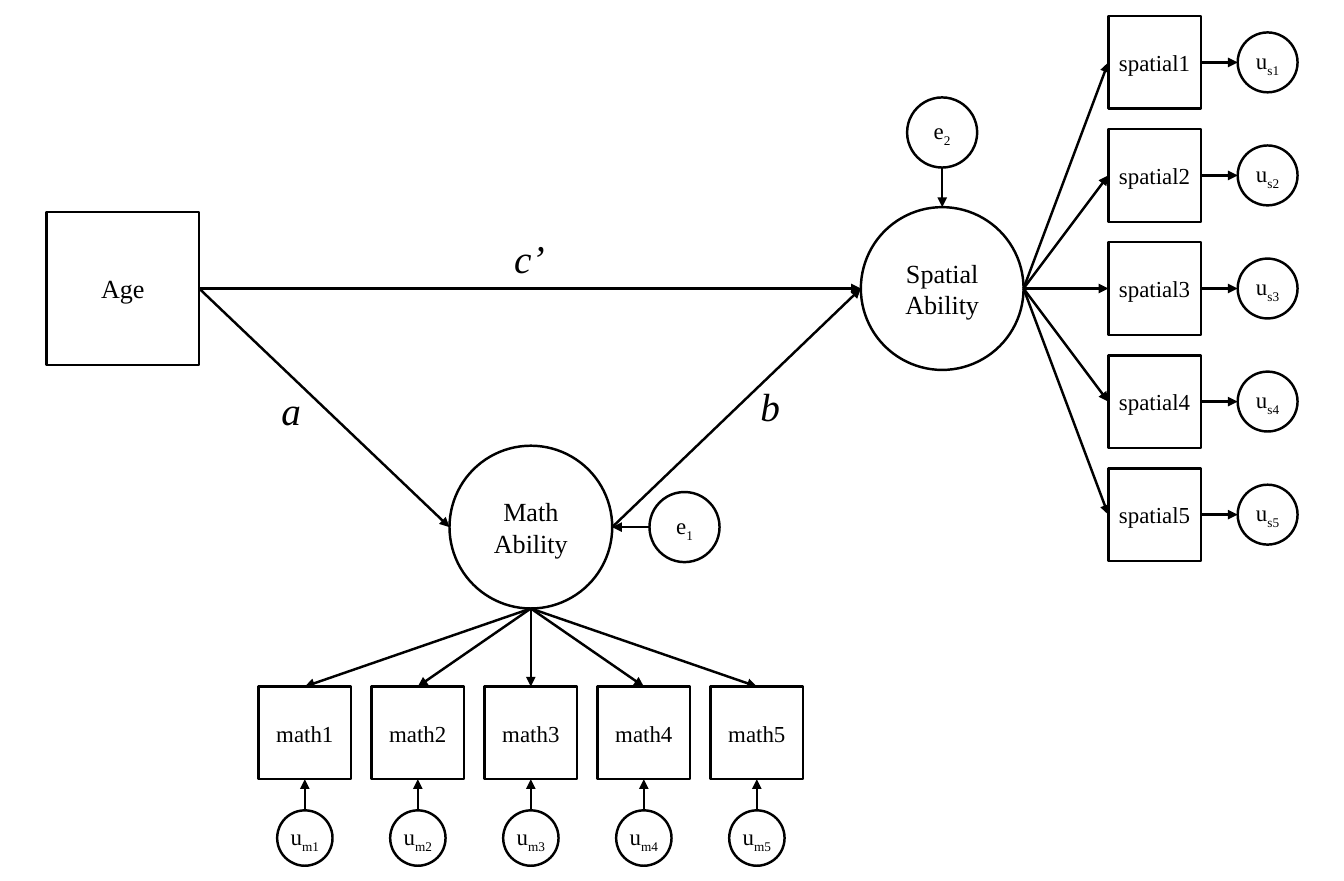
from lxml.etree import SubElement
from pptx import Presentation
from pptx.dml.color import RGBColor
from pptx.enum.shapes import MSO_CONNECTOR, MSO_SHAPE
from pptx.enum.text import MSO_ANCHOR, PP_ALIGN
from pptx.oxml.ns import qn
from pptx.util import Cm, Inches, Pt


def color(hex_value):
    return RGBColor.from_string(hex_value)


class PathDiagram:
    """Path diagram on a square grid; indicators sit one grid step apart."""
    STEP = 0.96
    LEFT, TOP = 0.66, 0.53  # inches to column 0 and row 0
    FONT = "Times New Roman"
    INK, PAPER = "000000", "FFFFFF"
    LINE_WIDTH = Pt(1.5)

    def __init__(self, slide):
        self.slide = slide

    def frame(self, column, row, width, height):
        """Left, top, width and height of a box centred on a grid point."""
        return (Inches(self.LEFT + (column - width / 2) * self.STEP),
                Inches(self.TOP + (row - height / 2) * self.STEP),
                Inches(width * self.STEP), Inches(height * self.STEP))

    def style_run(self, run, size, italic=False):
        run.font.name = self.FONT
        run.font.size = Pt(size)
        run.font.italic = italic
        run.font.color.rgb = color(self.INK)

    def variable(self, kind, text, column, row, side, size=14, subscript=""):
        node = self.slide.shapes.add_shape(
            kind, *self.frame(column, row, side, side))
        node.shadow.inherit = False
        node.fill.solid()
        node.fill.fore_color.rgb = color(self.PAPER)
        node.line.color.rgb = color(self.INK)
        node.line.width = self.LINE_WIDTH
        content = node.text_frame
        content.word_wrap = True
        content.vertical_anchor = MSO_ANCHOR.MIDDLE
        content.margin_left = content.margin_right = 0
        content.margin_top = content.margin_bottom = 0
        content.text = text
        paragraph = content.paragraphs[0]
        paragraph.alignment = PP_ALIGN.CENTER
        if subscript:
            index = paragraph.add_run()
            index.text = subscript
            index._r.get_or_add_rPr().set("baseline", "-25000")
        for run in paragraph.runs:
            self.style_run(run, size)
        return node

    def observed(self, text, column, row, side=0.82, size=14):
        return self.variable(MSO_SHAPE.RECTANGLE, text, column, row, side, size)

    def latent(self, text, column, row):
        return self.variable(MSO_SHAPE.OVAL, text, column, row, 1.44, 16)

    def residual(self, letter, subscript, column, row, side):
        return self.variable(MSO_SHAPE.OVAL, letter, column, row, side,
                             subscript=subscript)

    def coefficient(self, text, column, row):
        label = self.slide.shapes.add_textbox(
            *self.frame(column, row, 0.48, 0.52))
        label.text_frame.word_wrap = True
        label.text_frame.text = text
        self.style_run(label.text_frame.paragraphs[0].runs[0], 24, italic=True)

    def anchor(self, node, side):
        """Midpoint of one side of a node."""
        across, down = {"left": (0, 0.5), "right": (1, 0.5),
                        "top": (0.5, 0), "bottom": (0.5, 1)}[side]
        return (int(node.left + across * node.width),
                int(node.top + down * node.height))

    def effect(self, cause, cause_side, outcome, outcome_side):
        arrow = self.slide.shapes.add_connector(
            MSO_CONNECTOR.STRAIGHT, *self.anchor(cause, cause_side),
            *self.anchor(outcome, outcome_side))
        arrow.line.color.rgb = color(self.INK)
        arrow.line.width = self.LINE_WIDTH
        SubElement(arrow.line._get_or_add_ln(), qn("a:tailEnd"), type="triangle")
        SubElement(arrow._element.spPr, qn("a:effectLst"))


def main():
    presentation = Presentation()
    presentation.slide_width = Cm(29)
    presentation.slide_height = Cm(19)
    diagram = PathDiagram(
        presentation.slides.add_slide(presentation.slide_layouts[6]))

    math_column, math_row = 4.01, 4.11
    spatial_column, spatial_row = 7.65, 2

    age = diagram.observed("Age", 0.4, spatial_row, side=1.35, size=16)
    math = diagram.latent("Math Ability", math_column, math_row)
    spatial = diagram.latent("Spatial Ability", spatial_column, spatial_row)
    math_error = diagram.residual("e", "1", 5.37, math_row, 0.62)
    spatial_error = diagram.residual("e", "2", spatial_column, 0.62, 0.62)

    diagram.effect(age, "right", spatial, "left")
    diagram.effect(age, "right", math, "left")
    diagram.effect(math, "right", spatial, "left")
    diagram.effect(math_error, "left", math, "right")
    diagram.effect(spatial_error, "bottom", spatial, "top")

    diagram.coefficient("a", 1.94, 3.07)
    diagram.coefficient("b", 6.18, 3.04)
    diagram.coefficient("c’", 4, 1.73)

    for number in range(1, 6):
        offset = number - 3  # steps from the middle indicator
        column = math_column + offset
        math_item = diagram.observed(f"math{number}", column, 5.93)
        math_unique = diagram.residual("u", f"m{number}", column, 6.86, 0.49)
        diagram.effect(math, "bottom", math_item, "top")
        diagram.effect(math_unique, "top", math_item, "bottom")

        row = spatial_row + offset
        spatial_item = diagram.observed(f"spatial{number}", 9.53, row)
        spatial_unique = diagram.residual("u", f"s{number}", 10.53, row, 0.53)
        diagram.effect(spatial, "right", spatial_item, "left")
        diagram.effect(spatial_item, "right", spatial_unique, "left")

    presentation.save("out.pptx")


if __name__ == "__main__":
    main()
